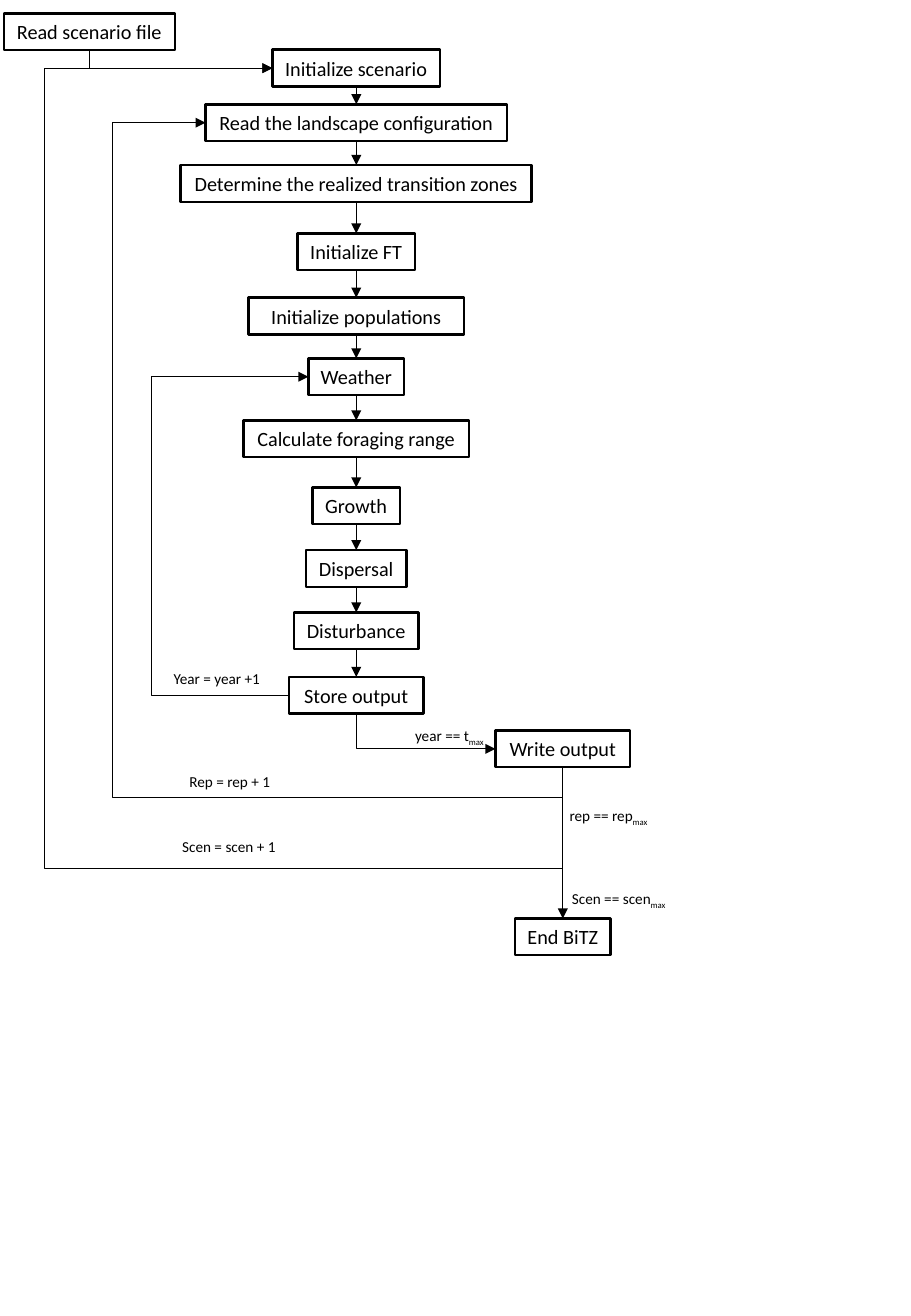
"""Flow chart of the BiTZ simulation: nested scenario, repetition and year loops."""
from lxml import etree
from pptx import Presentation
from pptx import util as u
from pptx.dml.color import RGBColor
from pptx.enum import shapes, text
from pptx.oxml.ns import qn

THEME = {"font": "Calibri", "ink": RGBColor(0, 0, 0), "step": u.Pt(12), "label": u.Pt(9),
         "border": u.Pt(1.5), "arrow": u.Pt(0.5)}
BOX_H = 0.77
MAIN_X, END_X = 7.45, 11.77

prs = Presentation()
prs.slide_width, prs.slide_height = u.Cm(19.05), u.Cm(27.51)
s = prs.slides.add_slide(prs.slide_layouts[6])


def style_runs(p, size):
    for r in p.runs:
        r.font.name, r.font.size, r.font.color.rgb = THEME["font"], size, THEME["ink"]


def add_arrow(kind, start, end):
    c = s.shapes.add_connector(kind, *(u.Cm(v) for v in start + end))
    c.line.color.rgb, c.line.width = THEME["ink"], THEME["arrow"]
    etree.SubElement(c.line._get_or_add_ln(), qn("a:tailEnd"), type="triangle")
    etree.SubElement(c._element.spPr, qn("a:effectLst"))
    return c


steps = [
    ("Read scenario file", 1.87, 0.28, 3.58),
    ("Initialize scenario", MAIN_X, 1.04, 3.51),
    ("Read the landscape configuration", MAIN_X, 2.18, 6.3),
    ("Determine the realized transition zones", MAIN_X, 3.45, 7.34),
    ("Initialize FT", MAIN_X, 4.88, 2.46),
    ("Initialize populations", MAIN_X, 6.22, 4.5),
    ("Weather", MAIN_X, 7.49, 2),
    ("Calculate foraging range", MAIN_X, 8.79, 4.72),
    ("Growth", MAIN_X, 10.19, 1.83),
    ("Dispersal", MAIN_X, 11.5, 2.1),
    ("Disturbance", MAIN_X, 12.8, 2.6),
    ("Store output", MAIN_X, 14.15, 2.82),
    ("Write output", END_X, 15.27, 2.82),
    ("End BiTZ", END_X, 19.2, 2),
]
boxes, left, bottom = {}, {}, {}
for name, x, top, width in steps:
    sp = s.shapes.add_shape(shapes.MSO_SHAPE.RECTANGLE, u.Cm(x - width / 2), u.Cm(top),
                            u.Cm(width), u.Cm(BOX_H))
    sp.shadow.inherit = False
    sp.fill.background()
    sp.line.color.rgb, sp.line.width = THEME["ink"], THEME["border"]
    tf = sp.text_frame
    tf.text = name
    tf.word_wrap = False
    tf.vertical_anchor = text.MSO_ANCHOR.MIDDLE
    p = tf.paragraphs[0]
    p.alignment = text.PP_ALIGN.CENTER
    style_runs(p, THEME["step"])
    boxes[name] = sp
    left[name] = (x - width / 2, top + BOX_H / 2)
    bottom[name] = (x, top + BOX_H)

main = [name for name, x, top, width in steps if x == MAIN_X]
for upper, lower in [*zip(main, main[1:]), ("Write output", "End BiTZ")]:
    c = add_arrow(shapes.MSO_CONNECTOR.STRAIGHT, bottom[upper], bottom[lower])
    c.begin_connect(boxes[upper], 2)
    c.end_connect(boxes[lower], 0)

routes = [
    (bottom["Read scenario file"], left["Initialize scenario"], 270, None, None),
    (bottom["Store output"], left["Write output"], 270, None, None),
    (left["Store output"], left["Weather"], 180, 3.17, None),
    (bottom["Write output"], left["Read the landscape configuration"], 90, 2.36, 16.67),
    (bottom["Write output"], left["Initialize scenario"], 90, 0.93, 18.16),
]
for start, end, turn, lane_x, lane_y in routes:
    (x1, y1), (x2, y2) = start, end
    c = add_arrow(shapes.MSO_CONNECTOR.ELBOW, start, end)
    width, height = abs(x2 - x1), abs(y2 - y1)
    if turn != 180:
        width, height = height, width
    c.left, c.top = u.Cm((x1 + x2 - width) / 2), u.Cm((y1 + y2 - height) / 2)
    c.width, c.height = u.Cm(width), u.Cm(height)
    xfrm = c._element.spPr.find(qn("a:xfrm"))
    xfrm.attrib.pop("flipV", None)
    xfrm.set("rot", str(turn * 60000))
    xfrm.set("flipH", "1")
    bends = [(lane - a) / (b - a) for lane, a, b in ((lane_y, y1, y2), (lane_x, x1, x2))
             if lane is not None]
    geom = c._element.spPr.find(qn("a:prstGeom"))
    geom.set("prst", f"bentConnector{len(bends) + 2}")
    guides = geom.find(qn("a:avLst"))
    for i, bend in enumerate(bends, 1):
        etree.SubElement(guides, qn("a:gd"), name=f"adj{i}", fmla=f"val {round(bend * 100000)}")

labels = [
    ("Year = year +1", "", 3.38, 13.87, 2.5),
    ("year == t", "max", 8.43, 15.06, 2.1),
    ("Rep = rep + 1", "", 3.71, 16.03, 2.35),
    ("Scen = scen + 1", "", 3.56, 17.37, 2.6),
    ("rep == rep", "max", 11.66, 16.74, 2.35),
    ("Scen == scen", "max", 11.71, 18.47, 2.65),
]
for wording, subscript, x, y, width in labels:
    tf = s.shapes.add_textbox(u.Cm(x), u.Cm(y), u.Cm(width), u.Cm(0.64)).text_frame
    tf.word_wrap = True
    p = tf.paragraphs[0]
    p.text = wording
    if subscript:
        r = p.add_run()
        r.text = subscript
        r.font._element.set("baseline", "-25000")
    style_runs(p, THEME["label"])

prs.save("out.pptx")
